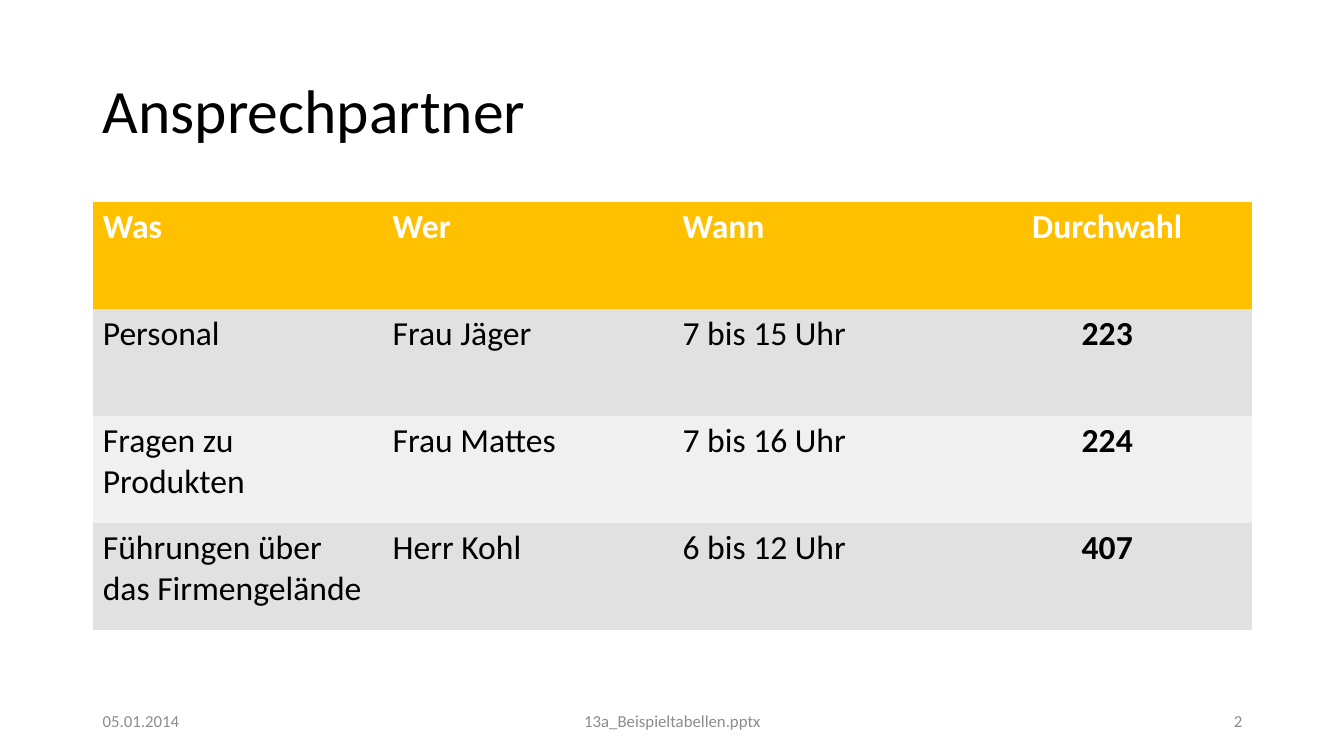
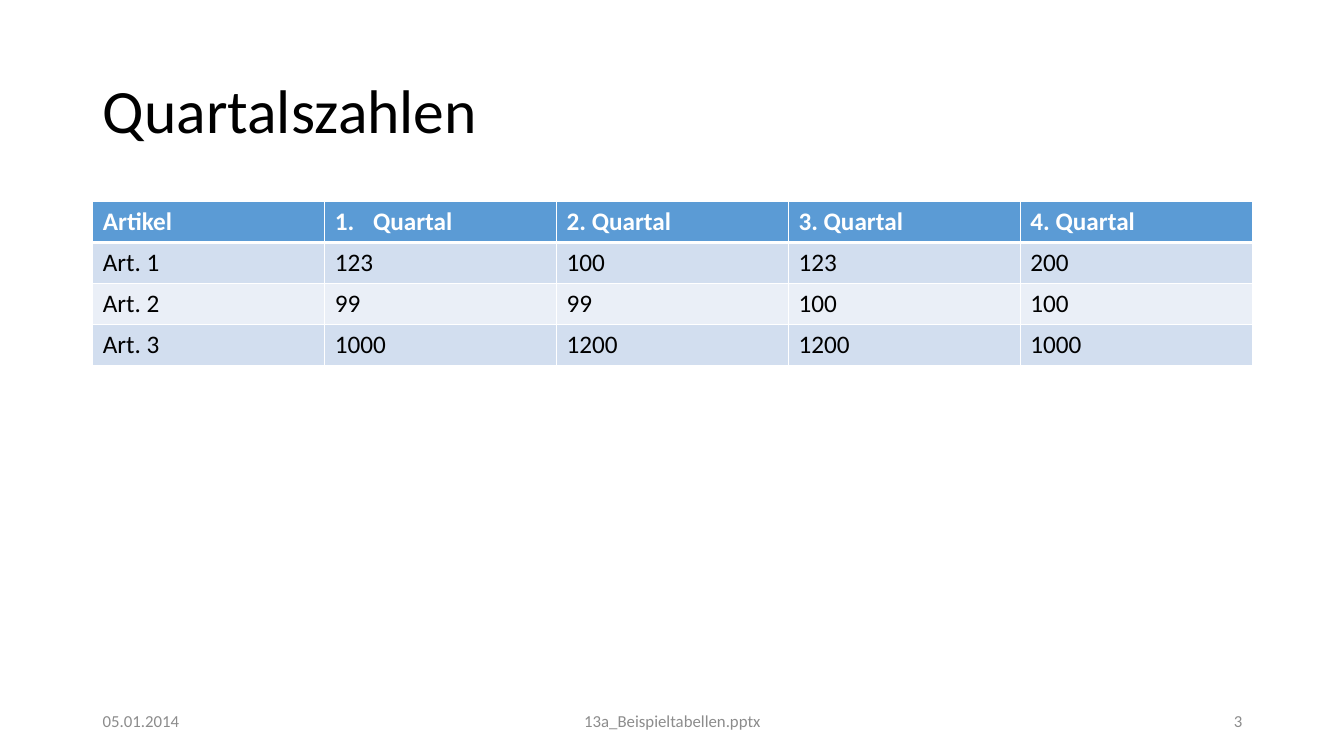
from dataclasses import dataclass
from typing import Optional

from lxml import etree
from pptx import Presentation
from pptx.dml.color import RGBColor
from pptx.enum import text as enum_text
from pptx.oxml import ns
from pptx.util import Inches, Pt

LEFT = enum_text.PP_ALIGN.LEFT
CENTER = enum_text.PP_ALIGN.CENTER
RIGHT = enum_text.PP_ALIGN.RIGHT
MIDDLE = enum_text.MSO_ANCHOR.MIDDLE


@dataclass(frozen=True)
class Theme:
    font: str = "Calibri"
    ink: str = "000000"
    paper: str = "FFFFFF"
    muted: str = "8C8C8C"
    title_size: int = 44
    footer_size: int = 12
    plain_table_style: str = "{2D5ABB26-0587-4C30-8999-92F81FD0307C}"


@dataclass(frozen=True)
class TableLook:
    header: str
    bands: tuple[str, str]
    size: int
    height: float
    ruled: bool = False
    key_column: Optional[int] = None
    numbered_header: Optional[int] = None


@dataclass(frozen=True)
class TableSlide:
    title: str
    rows: list[list[str]]
    look: TableLook


@dataclass(frozen=True)
class FooterField:
    left: float
    width: float
    align: enum_text.PP_ALIGN


THEME = Theme()
MARGIN, CONTENT_WIDTH = 0.92, 11.5
FIRST_NUMBER = 2
FOOTER_FIELDS = [
    FooterField(MARGIN, 3, LEFT),
    FooterField(4.42, 4.5, CENTER),
    FooterField(9.42, 3, RIGHT),
]
GOLD = TableLook("FFC000", ("E1E1E1", "F0F0F0"), 24, 4.25, key_column=3)
BLUE = TableLook("5B9BD5", ("D2DEEF", "EAEFF7"), 18, 1.62, ruled=True, numbered_header=1)
TABLE_SLIDES = [
    TableSlide("Ansprechpartner", [
        ["Was", "Wer", "Wann", "Durchwahl"],
        ["Personal", "Frau Jäger", "7 bis 15 Uhr", "223"],
        ["Fragen zu Produkten", "Frau Mattes", "7 bis 16 Uhr", "224"],
        ["Führungen über das Firmengelände", "Herr Kohl", "6 bis 12 Uhr", "407"],
    ], GOLD),
    TableSlide("Quartalszahlen", [
        ["Artikel", "Quartal", "2. Quartal", "3. Quartal", "4. Quartal"],
        ["Art. 1", "123", "100", "123", "200"],
        ["Art. 2", "99", "99", "100", "100"],
        ["Art. 3", "1000", "1200", "1200", "1000"],
    ], BLUE),
]


def write(text_frame, text: str, *, size: int, color: str = THEME.ink, bold: bool = False,
          align=LEFT, line_spacing: float = 1.0, numbered: bool = False) -> None:
    paragraph = text_frame.paragraphs[0]
    paragraph.text = text
    paragraph.alignment = align
    paragraph.line_spacing = line_spacing
    if numbered:
        properties = paragraph._p.get_or_add_pPr()
        properties.set("marL", str(Inches(0.38)))
        properties.set("indent", str(-Inches(0.38)))
        etree.SubElement(properties, ns.qn("a:buAutoNum"), type="arabicPeriod")
    font = paragraph.font
    font.name, font.size, font.bold = THEME.font, Pt(size), bold
    font.color.rgb = RGBColor.from_string(color)


def add_title(slide, title: str) -> None:
    shape = slide.shapes.title
    shape.left, shape.top = Inches(MARGIN), Inches(0.4)
    shape.width, shape.height = Inches(CONTENT_WIDTH), Inches(1.45)
    shape.text_frame.auto_size = enum_text.MSO_AUTO_SIZE.NONE
    shape.text_frame.vertical_anchor = MIDDLE
    write(shape.text_frame, title, size=THEME.title_size, line_spacing=0.9)


def add_footer(slide, number: int) -> None:
    texts = ["05.01.2014", "13a_Beispieltabellen.pptx", str(number)]
    for field, text in zip(FOOTER_FIELDS, texts):
        box = slide.shapes.add_textbox(
            Inches(field.left), Inches(6.95), Inches(field.width), Inches(0.4))
        box.text_frame.word_wrap = True
        box.text_frame.vertical_anchor = MIDDLE
        write(box.text_frame, text, size=THEME.footer_size, color=THEME.muted, align=field.align)


def add_borders(cell, row_index: int) -> None:
    widths = {
        "a:lnL": 1,
        "a:lnR": 1,
        "a:lnT": 3 if row_index == 1 else 1,
        "a:lnB": 3 if row_index == 0 else 1,
    }
    properties = cell._tc.get_or_add_tcPr()
    for position, (tag, width) in enumerate(widths.items()):
        line = etree.Element(ns.qn(tag), w=str(Pt(width)))
        fill = etree.SubElement(line, ns.qn("a:solidFill"))
        etree.SubElement(fill, ns.qn("a:srgbClr"), val=THEME.paper)
        properties.insert(position, line)


def add_table(slide, rows: list[list[str]], look: TableLook) -> None:
    frame = slide.shapes.add_table(
        len(rows), len(rows[0]), Inches(MARGIN), Inches(2),
        Inches(CONTENT_WIDTH), Inches(look.height))
    frame._element.find(".//" + ns.qn("a:tableStyleId")).text = THEME.plain_table_style
    table = frame.table
    for row_index, row in enumerate(rows):
        is_header = row_index == 0
        fill = look.header if is_header else look.bands[(row_index - 1) % 2]
        for column_index, text in enumerate(row):
            cell = table.cell(row_index, column_index)
            cell.fill.solid()
            cell.fill.fore_color.rgb = RGBColor.from_string(fill)
            is_key = column_index == look.key_column
            write(cell.text_frame, text, size=look.size,
                  color=THEME.paper if is_header else THEME.ink,
                  bold=is_header or is_key,
                  align=CENTER if is_key else LEFT,
                  numbered=is_header and column_index == look.numbered_header)
            if look.ruled:
                add_borders(cell, row_index)


def main() -> None:
    presentation = Presentation()
    presentation.slide_width, presentation.slide_height = Inches(13.33), Inches(7.5)
    title_only = presentation.slide_layouts[5]
    for number, content in enumerate(TABLE_SLIDES, FIRST_NUMBER):
        slide = presentation.slides.add_slide(title_only)
        add_title(slide, content.title)
        add_table(slide, content.rows, content.look)
        add_footer(slide, number)
    presentation.save("out.pptx")


if __name__ == "__main__":
    main()
